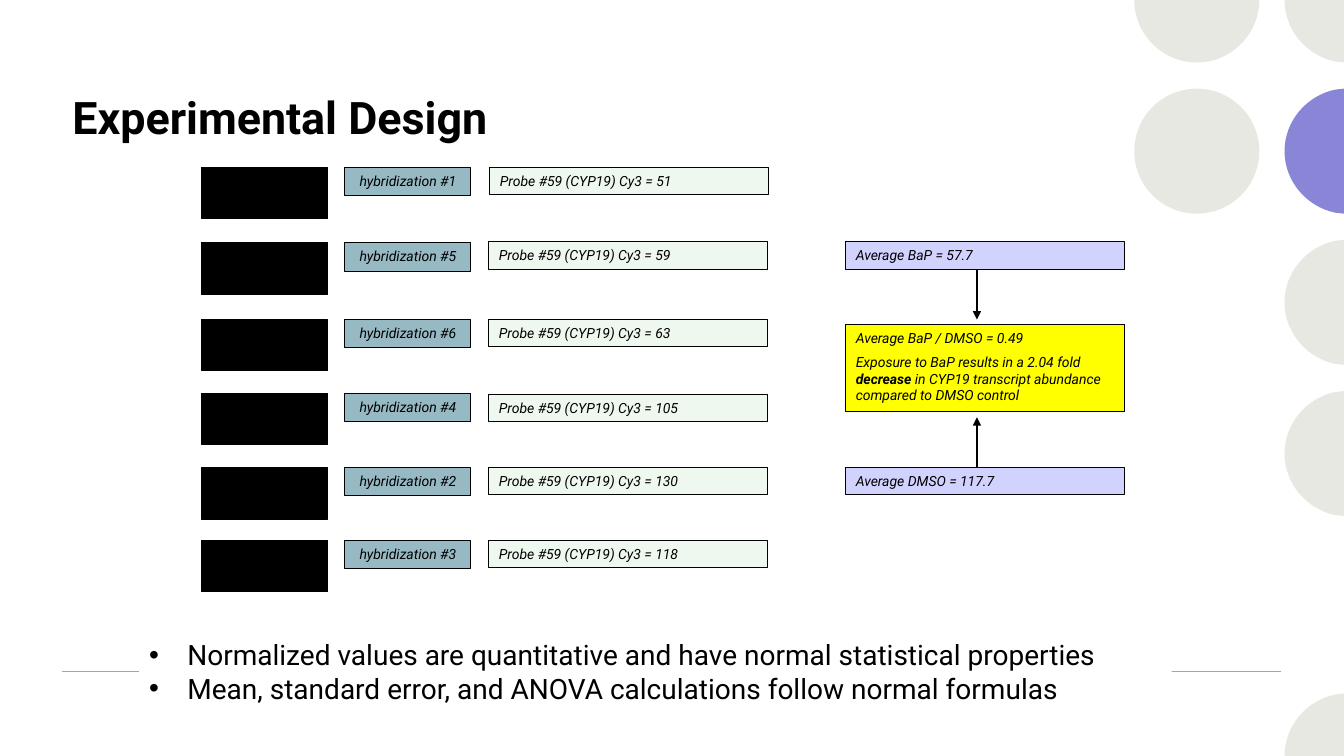
from lxml import etree
from pptx import Presentation
from pptx.dml.color import RGBColor
from pptx.enum import shapes, text
from pptx.oxml import ns
from pptx.util import Inches, Pt

# Content
TITLE = "Experimental Design"
HYBRIDIZATIONS = [  # top, hybridization number, probe left, probe top, Cy3 value
    (1.66, 1, 4.86, 1.66, 51),
    (2.41, 5, 4.85, 2.4, 59),
    (3.17, 6, 4.85, 3.17, 63),
    (3.9, 4, 4.85, 3.91, 105),
    (4.64, 2, 4.85, 4.64, 130),
    (5.36, 3, 4.85, 5.36, 118),
]
AVERAGES = [(2.4, "Average BaP = 57.7"), (4.64, "Average DMSO = 117.7")]
RESULT = [
    [("Average BaP / DMSO = 0.49", False)],
    [
        ("Exposure to BaP results in a 2.04 fold ", False),
        ("decrease ", True),
        ("in CYP19 transcript abundance compared to DMSO control", False),
    ],
]
BULLETS = [
    "Normalized values are quantitative and have normal statistical properties",
    "Mean, standard error, and ANOVA calculations follow normal formulas",
]

THEME = {
    "font": "Roboto", "title": 32, "bullet": 20, "label": 10,
    "black": "000000", "white": "FFFFFF", "circle": "E8E8E2", "accent": "8985D7",
    "rule": "A6A6A6", "hybridization": "96B9C3", "probe": "EFF8EF",
    "average": "D2D2FF", "result": "FFFF00",
}
WIDTH, HEIGHT = 13.33, 7.5
PITCH = 1.5
PANEL_LEFT, PANEL_WIDTH, LABEL_HEIGHT = 8.39, 2.76, 0.27

# Cut circles: each segment has one point (line) or three (curve), y from the centre
LOWER_ARC = [(12.74, 0.3), (12.96, 0.55), (13.24, 0.61)]
UPPER_ARC = [(x, -y) for x, y in reversed(LOWER_ARC)]
LEFT, TOP_EDGE, BOTTOM_EDGE = (12.74, 0), (WIDTH, -0.62), (WIDTH, 0.62)
RIGHT_CUT = [[TOP_EDGE], [UPPER_ARC[0]], UPPER_ARC[1:] + [LEFT], LOWER_ARC, [BOTTOM_EDGE]]
TOP_CORNER = [[LEFT], LOWER_ARC, [BOTTOM_EDGE], [(WIDTH, 0)]]
BOTTOM_CORNER = [[(WIDTH, 0)], [TOP_EDGE], [UPPER_ARC[0]], UPPER_ARC[1:] + [LEFT]]
TOP_HALF = [
    [(11.25, 0)], [(12.49, 0)],
    [(12.49, 0.34), (12.21, 0.62), (11.87, 0.62)],
    [(11.53, 0.62), (11.25, 0.34), (11.25, 0)],
]
CUT_CIRCLES = [  # row, outline, colour
    (0, TOP_HALF, "circle"), (5, BOTTOM_CORNER, "circle"), (3, RIGHT_CUT, "circle"),
    (2, RIGHT_CUT, "circle"), (1, RIGHT_CUT, "accent"), (0, TOP_CORNER, "circle"),
]

presentation = Presentation()
presentation.slide_width, presentation.slide_height = Inches(WIDTH), Inches(HEIGHT)
slide = presentation.slides.add_slide(presentation.slide_layouts[6])


def color(name):
    return RGBColor.from_string(THEME[name])


def paint(shape, fill, line=None):
    shape.shadow.inherit = False
    shape.fill.solid()
    shape.fill.fore_color.rgb = color(fill)
    if line:
        shape.line.color.rgb = color(line)
        shape.line.width = Pt(0.75)
    else:
        shape.line.fill.background()


def add_box(left, top, width, height, fill, line="black",
            kind=shapes.MSO_SHAPE.RECTANGLE):
    shape = slide.shapes.add_shape(kind, *map(Inches, (left, top, width, height)))
    paint(shape, fill, line)
    return shape


def add_cut_circle(row, outline, fill):
    points = [(Inches(x), Inches(row * PITCH + y)) for segment in outline for x, y in segment]
    builder = slide.shapes.build_freeform(*points[0])
    builder.add_line_segments(points[1:], close=True)
    shape = builder.convert_to_shape()
    paint(shape, fill)
    steps = iter(list(shape._element.find(".//" + ns.qn("a:path"))))
    for segment in outline:
        first, *others = [next(steps) for point in segment]
        if others:  # join three line steps into one curve
            curve = etree.Element(ns.qn("a:cubicBezTo"))
            first.addprevious(curve)
            for step in (first, *others):
                curve.append(step[0])
                step.getparent().remove(step)


def write(shape, paragraphs, size, italic=False, align=text.PP_ALIGN.LEFT, gap=0):
    """Fill a shape with paragraphs, each a list of (words, bold) runs."""
    frame = shape.text_frame
    frame.word_wrap = True
    frame.vertical_anchor = text.MSO_ANCHOR.TOP
    for index, runs in enumerate(paragraphs):
        paragraph = frame.add_paragraph() if index else frame.paragraphs[0]
        paragraph.alignment = align
        if index and gap:
            paragraph.space_before = Pt(gap)
        for words, bold in runs:
            run = paragraph.add_run()
            run.text = words
            run.font.name = THEME["font"]
            run.font.size = Pt(THEME[size])
            run.font.bold, run.font.italic = bold, italic
            run.font.color.rgb = color("black")


def add_label(left, top, width, height, fill, paragraphs, align=text.PP_ALIGN.LEFT):
    box = add_box(left, top, width, height, fill)
    write(box, paragraphs, "label", italic=True, align=align, gap=5)


def add_line(start, end, name, weight, arrow=False):
    line = slide.shapes.add_connector(
        shapes.MSO_CONNECTOR.STRAIGHT, *map(Inches, (*start, *end)))
    line.line.color.rgb = color(name)
    line.line.width = Pt(weight)
    if arrow:
        etree.SubElement(line.line._get_or_add_ln(), ns.qn("a:tailEnd"), type="triangle")
    etree.SubElement(line._element.spPr, ns.qn("a:effectLst"))


# Background circles
add_box(11.25, 0.88, 1.24, 1.24, "circle", None, shapes.MSO_SHAPE.OVAL)
for row, outline, fill in CUT_CIRCLES:
    add_cut_circle(row, outline, fill)

# Footer rule and title
add_line((0.62, 6.66), (12.71, 6.66), "rule", 1)
title = slide.shapes.add_textbox(*map(Inches, (0.62, 0.84, 8.02, 1.39)))
write(title, [[(TITLE, True)]], "title")

# Hybridization rows
for top, number, probe_left, probe_top, value in HYBRIDIZATIONS:
    add_box(2, top, 1.25, 0.51, "black")
    add_label(3.42, top, 1.25, 0.28, "hybridization",
              [[(f"hybridization #{number}", False)]], text.PP_ALIGN.CENTER)
    add_label(probe_left, probe_top, PANEL_WIDTH, LABEL_HEIGHT, "probe",
              [[(f"Probe #59 (CYP19) Cy3 = {value}", False)]])

# Averages leading to the result
for top, words in AVERAGES:
    add_label(PANEL_LEFT, top, PANEL_WIDTH, LABEL_HEIGHT, "average", [[(words, False)]])
add_label(PANEL_LEFT, 3.22, PANEL_WIDTH, 0.86, "result", RESULT)
for start, end in [(4.64, 4.14), (2.67, 3.17)]:
    add_line((9.69, start), (9.69, end), "black", 1.5, arrow=True)

# Conclusions
conclusions = add_box(1.38, 6.28, 10.24, 0.77, "white", None)
write(conclusions, [[(words, False)] for words in BULLETS], "bullet")
for paragraph in conclusions.text_frame.paragraphs:
    properties = paragraph._p.get_or_add_pPr()
    properties.set("marL", str(Inches(0.38)))
    properties.set("indent", str(Inches(-0.38)))
    etree.SubElement(properties, ns.qn("a:buFont"), typeface="Arial")
    etree.SubElement(properties, ns.qn("a:buChar"), char="•")

presentation.save("out.pptx")
